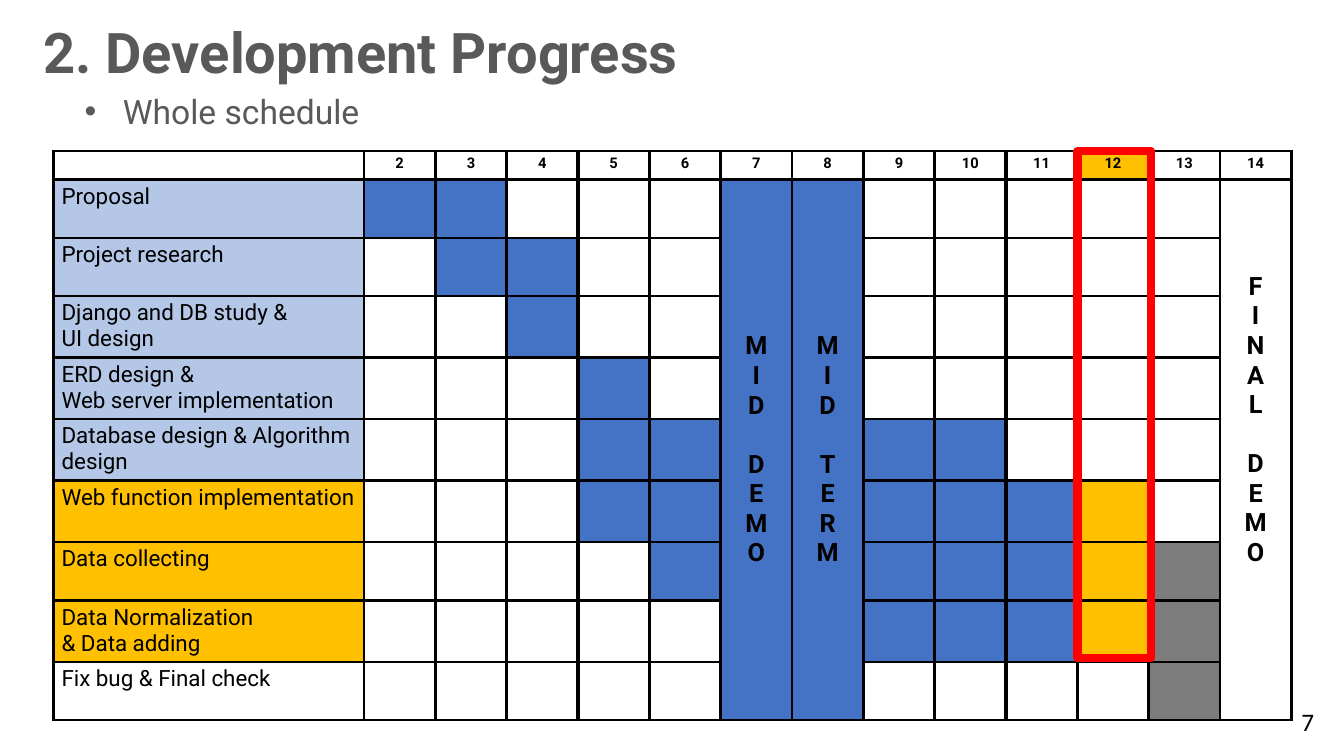
"""Build the development progress slide with its week-by-week schedule."""
from dataclasses import dataclass

from lxml import etree
from pptx import Presentation
from pptx import util as u
from pptx.dml.color import RGBColor
from pptx.enum import shapes, text
from pptx.oxml import ns


@dataclass(frozen=True)
class Theme:
    font: str = "Roboto"
    number_font: str = "Calibri"
    heading: str = "595959"
    ink: str = "000000"
    paper: str = "FFFFFF"
    done: str = "4472C4"
    finished_task: str = "B4C7E7"
    current: str = "FFC000"
    remaining: str = "7C7C7C"
    highlight: str = "FF0000"
    title_size: float = 40
    subtitle_size: float = 24
    milestone_size: float = 18
    task_size: float = 16
    week_size: float = 10.5
    border: float = 1.98
    thick_border: float = 2.55
    frame_line: float = 6


@dataclass(frozen=True)
class Caption:
    """Position and size are percentages of the slide."""
    words: str
    left: float
    top: float
    width: float
    height: float
    size: float
    colour: str
    font: str
    bold: bool = False
    bullet: bool = False
    wrap: bool = True


@dataclass(frozen=True)
class Task:
    name: str
    colour: str
    marks: str
    height: float


@dataclass(frozen=True)
class Milestone:
    words: str
    week: int
    colour: str
    lines_above: int = 0


THEME = Theme()
SLIDE_WIDTH, SLIDE_HEIGHT = u.Inches(13.33), u.Inches(7.5)
TABLE_LEFT, TABLE_TOP, TABLE_WIDTH = 3.98, 20, 92.12
LABEL_WIDTH, HEADER_HEIGHT = 23.1, 3.73
LOW, TALL = 7.73, 8.13
WEEKS = range(2, 15)
WEEK_WIDTH = (TABLE_WIDTH - LABEL_WIDTH) / len(WEEKS)
CURRENT_WEEK = 12
THICK_AFTER_WEEKS = (4, 10)
LETTER_LINE = 21.1
FRAME_WIDTH, FRAME_HEIGHT = 5.48, 67.07

MARK_COLOURS = {".": THEME.paper, "B": THEME.done, "Y": THEME.current, "G": THEME.remaining}
TASKS = [
    Task("Proposal", THEME.finished_task, "BB...........", LOW),
    Task("Project research", THEME.finished_task, ".BB..........", LOW),
    Task("Django and DB study &\nUI design", THEME.finished_task, "..B..........", TALL),
    Task("ERD design &\nWeb server implementation", THEME.finished_task, "...B.........", TALL),
    Task("Database design & Algorithm design", THEME.finished_task, "...BB..BB....", TALL),
    Task("Web function implementation", THEME.current, "...BB..BBBY..", TALL),
    Task("Data collecting", THEME.current, "....B..BBBYG.", LOW),
    Task("Data Normalization\n& Data adding", THEME.current, ".......BBBYG.", TALL),
    Task("Fix bug & Final check", THEME.paper, "...........G.", LOW),
]
MILESTONES = [
    Milestone("MID DEMO", 7, THEME.done),
    Milestone("MID TERM", 8, THEME.done),
    Milestone("FINAL DEMO", 14, THEME.paper, lines_above=3),
]
CAPTIONS = [
    Caption("Whole schedule", 5.55, 11.33, 94.45, 6.67, THEME.subtitle_size,
            THEME.heading, THEME.font, bullet=True),
    Caption("7", 96.1, 92.8, 2.48, 5.33, THEME.milestone_size,
            THEME.ink, THEME.number_font, wrap=False),
    Caption("2. Development Progress", 2.48, 1.6, 56.4, 10.27, THEME.title_size,
            THEME.heading, THEME.font, bold=True),
]


def across(percent: float) -> int:
    return round(SLIDE_WIDTH * percent / 100)


def down(percent: float) -> int:
    return round(SLIDE_HEIGHT * percent / 100)


def format_text(text_frame, size: float, colour: str, font: str, bold: bool) -> None:
    for paragraph in text_frame.paragraphs:
        for run in paragraph.runs:
            run.font.size = u.Pt(size)
            run.font.name = font
            run.font.bold = bold
            run.font.color.rgb = RGBColor.from_string(colour)


def draw_caption(slide, caption: Caption) -> None:
    shape = slide.shapes.add_textbox(across(caption.left), down(caption.top),
                                     across(caption.width), down(caption.height))
    text_frame = shape.text_frame
    text_frame.text = caption.words
    text_frame.word_wrap = caption.wrap
    text_frame.auto_size = text.MSO_AUTO_SIZE.SHAPE_TO_FIT_TEXT
    format_text(text_frame, caption.size, caption.colour, caption.font, caption.bold)
    if caption.bullet:
        properties = text_frame.paragraphs[0]._p.get_or_add_pPr()
        indent = u.Inches(0.38)
        properties.set("marL", str(indent))
        properties.set("indent", str(-indent))
        etree.SubElement(properties, ns.qn("a:buFont"), typeface="Arial")
        etree.SubElement(properties, ns.qn("a:buChar"), char="•")


def style_cell(cell, colour: str, week: int) -> None:
    properties = cell._tc.get_or_add_tcPr()
    thick = {"L": week - 1 in THICK_AFTER_WEEKS, "R": week in THICK_AFTER_WEEKS}
    for side in "LRTB":
        width = THEME.thick_border if thick.get(side) else THEME.border
        line = etree.SubElement(properties, ns.qn(f"a:ln{side}"), w=str(u.Pt(width)))
        fill = etree.SubElement(line, ns.qn("a:solidFill"))
        etree.SubElement(fill, ns.qn("a:srgbClr"), val=THEME.ink)
    cell.fill.solid()
    cell.fill.fore_color.rgb = RGBColor.from_string(colour)
    cell.margin_left = cell.margin_right = u.Inches(0.08)
    cell.margin_top = cell.margin_bottom = u.Inches(0.04)


def write_cell(cell, words: str, size: float, bold: bool, centred: bool) -> None:
    cell.text_frame.text = words
    format_text(cell.text_frame, size, THEME.ink, THEME.font, bold)
    if centred:
        for paragraph in cell.text_frame.paragraphs:
            paragraph.alignment = text.PP_ALIGN.CENTER


def draw_milestone(table, milestone: Milestone) -> None:
    column = WEEKS.index(milestone.week) + 1
    cell = table.cell(1, column)
    cell.merge(table.cell(len(TASKS), column))
    cell.fill.fore_color.rgb = RGBColor.from_string(milestone.colour)
    write_cell(cell, "\n".join(milestone.words.replace(" ", "")),
               THEME.milestone_size, True, True)
    second_word = cell.text_frame.paragraphs[milestone.words.index(" ")]
    second_word.space_before = u.Pt(LETTER_LINE)
    if milestone.lines_above:
        cell.margin_top += u.Pt(LETTER_LINE * milestone.lines_above)
    else:
        cell.vertical_anchor = text.MSO_ANCHOR.MIDDLE


def draw_schedule(slide) -> None:
    heights = [HEADER_HEIGHT] + [task.height for task in TASKS]
    table = slide.shapes.add_table(len(heights), len(WEEKS) + 1, across(TABLE_LEFT), down(TABLE_TOP),
                                   across(TABLE_WIDTH), down(sum(heights))).table
    table.first_row = table.horz_banding = False
    for row, height in zip(table.rows, heights):
        row.height = down(height)
    for column, width in zip(table.columns, [LABEL_WIDTH] + [WEEK_WIDTH] * len(WEEKS)):
        column.width = across(width)
    corner = table.cell(0, 0)
    style_cell(corner, THEME.paper, WEEKS[0] - 1)
    etree.SubElement(corner.text_frame.paragraphs[0]._p, ns.qn("a:endParaRPr"),
                     sz=str(round(THEME.week_size * 100)))
    for column, week in enumerate(WEEKS, 1):
        cell = table.cell(0, column)
        style_cell(cell, THEME.current if week == CURRENT_WEEK else THEME.paper, week)
        write_cell(cell, str(week), THEME.week_size, True, True)
    for row, task in enumerate(TASKS, 1):
        style_cell(table.cell(row, 0), task.colour, WEEKS[0] - 1)
        write_cell(table.cell(row, 0), task.name, THEME.task_size, False, False)
        for column, (week, mark) in enumerate(zip(WEEKS, task.marks), 1):
            style_cell(table.cell(row, column), MARK_COLOURS[mark], week)
    for milestone in MILESTONES:
        draw_milestone(table, milestone)


def draw_current_week_frame(slide) -> None:
    left = TABLE_LEFT + LABEL_WIDTH + WEEKS.index(CURRENT_WEEK) * WEEK_WIDTH
    shape = slide.shapes.add_shape(shapes.MSO_SHAPE.RECTANGLE, across(left), down(TABLE_TOP),
                                   across(FRAME_WIDTH), down(FRAME_HEIGHT))
    shape.shadow.inherit = False
    shape.fill.background()
    shape.line.color.rgb = RGBColor.from_string(THEME.highlight)
    shape.line.width = u.Pt(THEME.frame_line)


def main() -> None:
    presentation = Presentation()
    presentation.slide_width, presentation.slide_height = SLIDE_WIDTH, SLIDE_HEIGHT
    slide = presentation.slides.add_slide(presentation.slide_layouts[6])
    draw_schedule(slide)
    for caption in CAPTIONS:
        draw_caption(slide, caption)
    draw_current_week_frame(slide)
    presentation.save("out.pptx")


if __name__ == "__main__":
    main()
